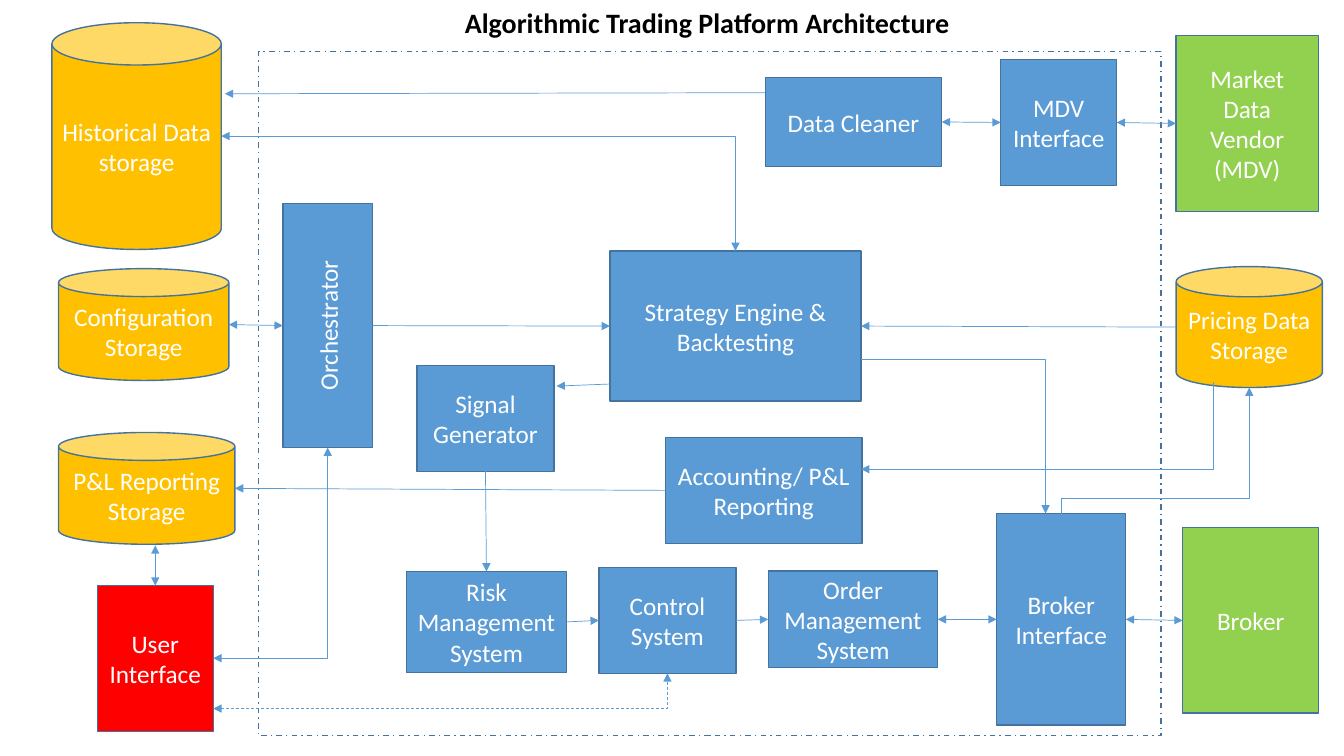
import lxml.etree
import pptx
import pptx.dml.color
import pptx.enum.dml
import pptx.enum.shapes
import pptx.enum.text
import pptx.oxml.ns
import pptx.util

RGB = pptx.dml.color.RGBColor
BLUE = RGB(0x5B, 0x9B, 0xD5)
OUTLINE = RGB(0x43, 0x73, 0x9E)
AMBER = RGB(0xFF, 0xC0, 0x00)
GREEN = RGB(0x92, 0xD0, 0x50)
RED = RGB(0xFF, 0x00, 0x00)
WHITE = RGB(0xFF, 0xFF, 0xFF)
BLACK = RGB(0x00, 0x00, 0x00)

SHAPE = pptx.enum.shapes.MSO_SHAPE
CONNECTOR = pptx.enum.shapes.MSO_CONNECTOR
DASH = pptx.enum.dml.MSO_LINE
ALIGN = pptx.enum.text.PP_ALIGN
ANCHOR = pptx.enum.text.MSO_ANCHOR
qn = pptx.oxml.ns.qn

CELL = 0.1  # grid cell in inches: 133.3 columns by 75 rows
SITES = ("top", "left", "bottom", "right")


def grid(n):
    """Turn a number of grid cells into a length."""
    return pptx.util.Inches(n * CELL)


class Diagram:
    """Style and current slide of an architecture diagram."""

    font, size, title_size = "Calibri", 18, 20
    outline_width, arrow_width = 1, 0.5

    def __init__(self, prs):
        """Add a title-only slide."""
        self.s = prs.slides.add_slide(prs.slide_layouts[5])
        self.areas, self.nodes = {}, {}

    def run(self, p, text, size, color, bold=False):
        """Add one formatted run to a paragraph."""
        r = p.add_run()
        r.text = text
        r.font.name, r.font.size, r.font.bold = self.font, pptx.util.Pt(size), bold
        r.font.color.rgb = color

    def title(self, text, x, y, w, h):
        """Place and fill the title placeholder."""
        sp = self.s.shapes.title
        sp.left, sp.top, sp.width, sp.height = map(grid, (x, y, w, h))
        tf = sp.text_frame
        tf.auto_size = pptx.enum.text.MSO_AUTO_SIZE.NONE
        tf.vertical_anchor, tf.word_wrap, tf.margin_right = ANCHOR.TOP, True, 0
        p = tf.paragraphs[0]
        p.alignment, p.line_spacing = ALIGN.LEFT, 1.0
        self.run(p, text, self.title_size, BLACK, bold=True)

    def outline(self, kind, x, y, w, h):
        """Add an unfilled, outlined shape."""
        sp = self.s.shapes.add_shape(kind, *map(grid, (x, y, w, h)))
        sp.shadow.inherit = False
        sp.fill.background()
        sp.line.color.rgb = OUTLINE
        sp.line.width = pptx.util.Pt(self.outline_width)
        return sp

    def frame(self, x, y, w, h):
        """Add the dash-dot border of the platform."""
        self.outline(SHAPE.RECTANGLE, x, y, w, h).line.dash_style = DASH.DASH_DOT

    def node(self, name, text, fill, x, y, w, h, kind=SHAPE.RECTANGLE, upright=False):
        """Add a labelled component; an upright one reads from bottom to top."""
        self.areas[name] = x, y, w, h
        if upright:
            x, y, w, h = x + (w - h) / 2, y + (h - w) / 2, h, w
        sp = self.outline(kind, x, y, w, h)
        if upright:
            sp.rotation = 270
        sp.fill.solid()
        sp.fill.fore_color.rgb = fill
        tf = sp.text_frame
        tf.word_wrap, tf.vertical_anchor = True, ANCHOR.MIDDLE
        for i, line in enumerate(text.split("\n")):
            p = tf.add_paragraph() if i else tf.paragraphs[0]
            p.alignment = ALIGN.CENTER
            self.run(p, line, self.size, WHITE)
        if kind == SHAPE.RECTANGLE and not upright:
            self.nodes[name] = sp

    def site(self, name, side):
        """Give the middle of one side of a component."""
        x, y, w, h = self.areas[name]
        dx, dy = {"top": (0.5, 0), "left": (0, 0.5),
                  "bottom": (0.5, 1), "right": (1, 0.5)}[side]
        return x + w * dx, y + h * dy

    def arrow(self, start, end, both=False, kind=CONNECTOR.STRAIGHT, dash=None):
        """Add an arrow between two grid points."""
        c = self.s.shapes.add_connector(kind, *map(grid, (*start, *end)))
        c.line.color.rgb = BLUE
        c.line.width = pptx.util.Pt(self.arrow_width)
        if dash:
            c.line.dash_style = dash
        props = c.element.spPr
        for tag in ("a:headEnd", "a:tailEnd") if both else ("a:tailEnd",):
            lxml.etree.SubElement(props.find(qn("a:ln")), qn(tag), type="triangle")
        lxml.etree.SubElement(props, qn("a:effectLst"))
        return c

    def link(self, a, side_a, b, side_b, both=False):
        """Join two components, gluing the arrow to plain boxes."""
        c = self.arrow(self.site(a, side_a), self.site(b, side_b), both)
        if a in self.nodes:
            c.begin_connect(self.nodes[a], SITES.index(side_a))
        if b in self.nodes:
            c.end_connect(self.nodes[b], SITES.index(side_b))

    def corner(self, start, end, both=False, dash=None, back=False):
        """Add an arrow that runs across, then up or down; back points it to start."""
        c = self.arrow(start, end, both or back, CONNECTOR.ELBOW, dash)
        c.element.spPr.find(qn("a:prstGeom")).set("prst", "bentConnector2")
        if back:
            ln = c.element.spPr.find(qn("a:ln"))
            ln.remove(ln.find(qn("a:tailEnd")))

    def riser(self, start, end, bend):
        """Add an up-across-up arrow that turns at a share of its height."""
        mid_x, mid_y = (start[0] + end[0]) / 2, (start[1] + end[1]) / 2
        turned = [(mid_x + y - mid_y, mid_y - x + mid_x) for x, y in (start, end)]
        c = self.arrow(*turned, kind=CONNECTOR.ELBOW)
        props = c.element.spPr
        props.find(qn("a:xfrm")).set("rot", str(90 * 60000))
        guides = props.find(qn("a:prstGeom")).find(qn("a:avLst"))
        lxml.etree.SubElement(guides, qn("a:gd"), name="adj1",
                              fmla=f"val {round(bend * 100000)}")


def main():
    """Build and save the slide."""
    prs = pptx.Presentation()
    prs.slide_width, prs.slide_height = pptx.util.Inches(13.33), pptx.util.Inches(7.5)
    d = Diagram(prs)
    d.title("Algorithmic Trading Platform Architecture", 45.1, 0, 51, 4.4)

    for name, text, *area in (
        ("history", "Historical Data\nstorage", 5.15, 2.25, 16.8, 22.5),
        ("config", "Configuration\nStorage", 5.8, 26.65, 16.9, 11.1),
        ("reports", "P&L Reporting Storage", 5.8, 42.9, 17.5, 11.1),
        ("prices", "Pricing Data Storage", 116.65, 26.45, 14.5, 12),
    ):
        d.node(name, text, AMBER, *area, kind=SHAPE.CAN)

    d.node("orchestrator", "Orchestrator", BLUE, 28.05, 20.2, 8.9, 24.2, upright=True)
    for name, text, fill, *area in (
        ("cleaner", "Data Cleaner", BLUE, 75.9, 7.7, 17.5, 8.8),
        ("feed", "MDV\nInterface", BLUE, 99.25, 5.9, 11.5, 12.5),
        ("strategy", "Strategy Engine &\nBacktesting", BLUE, 60.5, 24.9, 24.9, 14.9),
        ("signal", "Signal Generator", BLUE, 41.35, 36.25, 13.6, 10.5),
        ("accounting", "Accounting/ P&L\nReporting", BLUE, 66, 43.4, 19.5, 10.5),
        ("risk", "Risk Management\nSystem", BLUE, 40.3, 56.7, 15.9, 10),
        ("control", "Control System", BLUE, 59.4, 56.3, 13.6, 10.5),
        ("orders", "Order Management System", BLUE, 76.2, 56.65, 16.8, 9.6),
        ("gateway", "Broker Interface", BLUE, 98.85, 50.95, 12.8, 21),
        ("vendor", "Market Data Vendor (MDV)", GREEN, 116.65, 3.5, 14.1, 17.5),
        ("broker", "Broker", GREEN, 117.3, 52.35, 13.5, 18.4),
        ("user", "User\nInterface", RED, 9.65, 58.1, 11.5, 14.5),
    ):
        d.node(name, text, fill, *area)
    d.frame(25.65, 5.1, 89.5, 67.9)

    for a, b, both in (
        ("config", "orchestrator", True), ("orchestrator", "strategy", False),
        ("cleaner", "feed", True), ("feed", "vendor", True),
        ("risk", "control", False), ("control", "orders", False),
        ("orders", "gateway", True), ("gateway", "broker", True),
    ):
        d.link(a, "right", b, "left", both)
    d.link("prices", "left", "strategy", "right")
    d.link("accounting", "left", "reports", "right")
    d.link("signal", "bottom", "risk", "top")

    d.arrow((75.9, 9.2), (22.3, 9.3))
    d.arrow((60.5, 38.1), (55.2, 38.3))
    d.arrow(d.site("user", "top"), (15.4, 54.1), both=True)

    d.corner(d.site("history", "right"), d.site("strategy", "top"), both=True)
    d.corner((21.15, 65.3), d.site("orchestrator", "bottom"), both=True)
    d.corner((21.15, 70.3), d.site("control", "bottom"), both=True, dash=DASH.DASH)
    d.corner((85.4, 35.65), (103.7, 50.95))
    d.corner((85.4, 46.55), (120.3, 37.9), back=True)
    d.riser(d.site("gateway", "top"), d.site("prices", "bottom"), bend=0.12)
    prs.save("out.pptx")


main()
